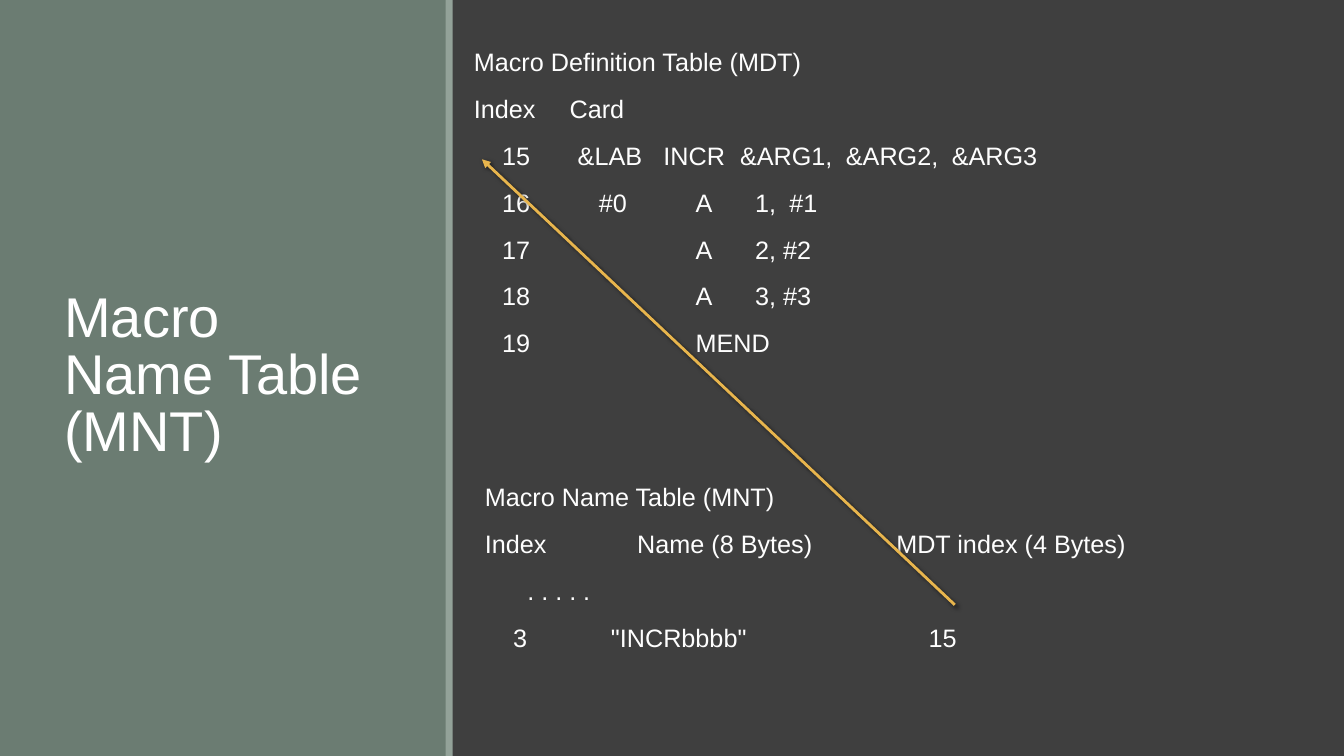
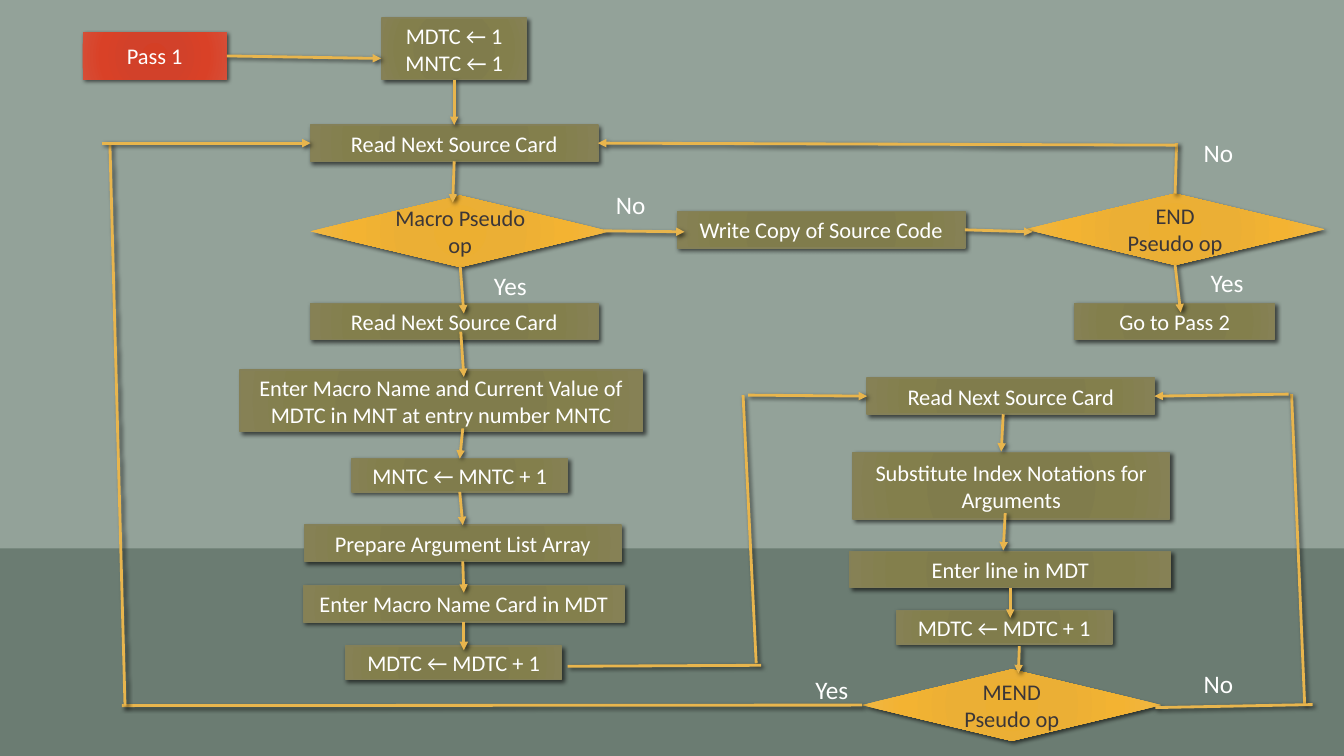
"""Two slides on macro tables and the first pass of a macro processor."""
import math

import lxml.etree
import pptx
import pptx.dml.color
import pptx.enum.shapes
import pptx.enum.text
import pptx.oxml.ns
import pptx.util

Inch = pptx.util.Inches
Pt = pptx.util.Pt
qn = pptx.oxml.ns.qn
Kind = pptx.enum.shapes.MSO_SHAPE
Line = pptx.enum.shapes.MSO_CONNECTOR
Mid = pptx.enum.text.MSO_ANCHOR.MIDDLE
Mode = pptx.enum.text.PP_ALIGN
tone = pptx.dml.color.RGBColor.from_string

WIDE, HIGH = 13.33, 7.5
DARK, PINE, SAGE = tone("3F3F3F"), tone("6B7C72"), tone("93A299")
WHITE, PALE, INK = tone("FFFFFF"), tone("FEFEFE"), tone("3B3638")
GOLD, EDGE = tone("E8B54D"), tone("848058")

STOPS = (0, 34, 70, 100)
RED = [tone(c) for c in ("D43F25", "D2412A", "D94127", "D64E37")]
OLIVE = [tone(c) for c in ("807A4A", "807C4C", "837F4C", "868155")]
AMBER = [tone(c) for c in ("ECAF31", "EBAF35", "F3B332", "EFB745")]

HEAD = {"name": "Arial", "size": Pt(40), "color": WHITE}
BODY = {"name": "Arial", "size": Pt(18), "color": PALE}
LABEL = {"name": "Calibri", "size": Pt(18), "color": WHITE}
STEP = {"name": "Calibri", "size": Pt(16), "color": WHITE}
TEST = {**STEP, "color": INK}

TITLE = "Macro Name Table (MNT)"
MDT = [
    [(0, "Macro Definition Table (MDT)")],
    [(0, "Index"), (0.95, "Card")],
    [(0.28, "15"), (1.03, "&LAB"), (1.88, "INCR"), (2.64, "&ARG1,"), (3.69, "&ARG2,"), (4.74, "&ARG3")],
    [(0.28, "16"), (1.24, "#0"), (2.2, "A"), (2.79, "1,"), (3.13, "#1")],
    [(0.28, "17"), (2.2, "A"), (2.79, "2, #2")],
    [(0.28, "18"), (2.2, "A"), (2.79, "3, #3")],
    [(0.28, "19"), (2.2, "MEND")],
]
MNT = [
    [(0, "Macro Name Table (MNT)")],
    [(0, "Index"), (1.51, "Name (8 Bytes)"), (4.08, "MDT index (4 Bytes)")],
    [(0.42, ". . . . .")],
    [(0.28, "3"), (1.25, '"INCRbbbb"'), (4.4, "15")],
]
TABLES = [(MNT, (4.81, 4.45, 8.22, 2.39)), (MDT, (4.7, 0.41, 8.22, 3.23))]

CARD, COUNT, LONG, OP = (2.85, 0.36), (2.14, 0.33), (3.18, 0.36), (2.97, 0.71)
STEPS = [
    ("MDTC ← 1\nMNTC ← 1", 3.79, 0.18, (1.43, 0.61)),
    ("Read Next Source Card", 3.08, 1.24, CARD),
    ("Read Next Source Card", 3.08, 3.01, CARD),
    ("Enter Macro Name and Current Value of MDTC in MNT at entry number MNTC", 2.38, 3.67, (3.99, 0.61)),
    ("MNTC ← MNTC + 1", 3.49, 4.55, COUNT),
    ("Prepare Argument List Array", 3.02, 5.21, (3.14, 0.36)),
    ("Enter Macro Name Card in MDT", 3.01, 5.81, LONG),
    ("MDTC ← MDTC + 1", 3.43, 6.41, COUNT),
    ("Read Next Source Card", 8.6, 3.75, CARD),
    ("Substitute Index Notations for Arguments", 8.46, 4.49, (3.14, 0.66)),
    ("Enter line in MDT", 8.43, 5.47, LONG),
    ("MDTC ← MDTC + 1", 8.89, 6.06, COUNT),
    ("Write Copy of Source Code", 6.72, 2.1, CARD),
    ("Go to Pass 2", 10.66, 3.01, (1.98, 0.36)),
]
START = [("Pass 1", 0.82, 0.32, (1.43, 0.47))]
TESTS = [
    ("Macro Pseudo op", 3.08, 1.94, OP),
    ("MEND\nPseudo op", 8.55, 6.64, OP),
    ("END\nPseudo op", 10.17, 1.92, OP),
]
GROUPS = [
    (START, Kind.RECTANGLE, RED, None, STEP),
    (STEPS, Kind.RECTANGLE, OLIVE, EDGE, STEP),
    (TESTS, Kind.FLOWCHART_DECISION, AMBER, None, TEST),
]
LINES = [
    (1.21, 7, 8.55, 7), (1.24, 7, 1.09, 1.42), (7.5, 6.58, 7.37, 3.92),
    (5.63, 6.61, 7.55, 6.6), (12.94, 6.99, 12.81, 3.91),
    (11.46, 7.02, 13.02, 6.99), (11.65, 1.88, 11.67, 1.42),
]
ARROWS = [
    (1.01, 1.42, 3.07, 1.43), (7.42, 3.92, 8.55, 3.9), (12.78, 3.91, 11.47, 3.92),
    (9.95, 4.11, 9.93, 4.48), (9.97, 5.09, 9.95, 5.46), (10.01, 5.81, 10.02, 6.13),
    (10.11, 6.41, 10.1, 6.68), (4.46, 0.79, 4.49, 1.23), (4.46, 1.6, 4.49, 2.01),
    (4.56, 2.65, 4.6, 3.11), (4.57, 3.29, 4.6, 3.74), (4.59, 4.25, 4.6, 4.53),
    (4.59, 4.9, 4.6, 5.21), (4.59, 5.57, 4.6, 5.88), (4.59, 6.14, 4.6, 6.45),
    (5.99, 2.29, 6.79, 2.3), (9.57, 2.29, 10.24, 2.3), (11.68, 2.68, 11.71, 3.1),
    (2.25, 0.57, 3.78, 0.58), (11.67, 1.44, 5.94, 1.42),
]
LABELS = {
    "Yes": [(4.8, 2.63), (7.99, 6.64), (11.91, 2.6)],
    "No": [(6.01, 1.83), (11.84, 1.31), (11.84, 6.58)],
}
NEAR = 0.06


def sub(top, tag, **vals):
    """Add one drawing element."""
    return lxml.etree.SubElement(top, qn("a:" + tag), {k: str(v) for k, v in vals.items()})


def shade(item):
    """Give a shape or connector its soft shadow."""
    part = item.element.spPr
    for old in part.findall(qn("a:effectLst")):
        part.remove(old)
    cast = sub(sub(part, "effectLst"), "outerShdw", blurRad=Pt(3), dist=Pt(2),
               dir=45 * 60000, algn="ctr", rotWithShape=0)
    sub(sub(cast, "srgbClr", val="000000"), "alpha", val=60000)


def blend(shape, tones):
    """Fill a shape with a round gradient."""
    shape.fill.solid()
    part = shape.element.spPr
    flat = part.find(qn("a:solidFill"))
    grad = lxml.etree.Element(qn("a:gradFill"), rotWithShape="1")
    stops = sub(grad, "gsLst")
    for at, color in zip(STOPS, tones):
        sub(sub(stops, "gs", pos=at * 1000), "srgbClr", val=color)
    way = sub(grad, "path", path="circle")
    sub(way, "fillToRect", l=50000, t=50000, r=50000, b=50000)
    part.replace(flat, grad)


def write(par, text, style):
    """Add a styled run to a paragraph."""
    run = par.add_run()
    run.text = text
    for key, val in style.items():
        if key == "color":
            run.font.color.rgb = val
        else:
            setattr(run.font, key, val)


def pars(frame, count):
    """Return the given number of paragraphs of a text frame."""
    return [frame.paragraphs[0]] + [frame.add_paragraph() for _ in range(count - 1)]


def box(slide, at, **form):
    """Add a wrapping text box and return its frame."""
    frame = slide.shapes.add_textbox(*map(Inch, at)).text_frame
    for key, val in {"word_wrap": True, **form}.items():
        setattr(frame, key, val)
    return frame


def band(slide, at, color):
    """Add a plain colour band."""
    shape = slide.shapes.add_shape(Kind.RECTANGLE, *map(Inch, at))
    shape.shadow.inherit = False
    shape.fill.solid()
    shape.fill.fore_color.rgb = color
    shape.line.fill.background()


def grid(slide, rows, at):
    """Write rows of cells set on tab stops."""
    frame = box(slide, at, vertical_anchor=Mid, margin_left=0, margin_right=0)
    for num, (par, row) in enumerate(zip(pars(frame, len(rows)), rows)):
        par.line_spacing = 0.9
        if num:
            par.space_before = Pt(14)
        tabs = [pos for pos, _ in row if pos]
        if tabs:
            stops = sub(par._p.get_or_add_pPr(), "tabLst")
            for pos in tabs:
                sub(stops, "tab", pos=Inch(pos), algn="l")
        write(par, "".join("\t" * bool(pos) + text for pos, text in row), BODY)


def block(slide, kind, data, tones, edge, style):
    """Add one flowchart block."""
    text, left, top, size = data
    shape = slide.shapes.add_shape(kind, *map(Inch, (left, top, *size)))
    blend(shape, tones)
    if edge:
        shape.line.color.rgb = edge
        shape.line.width = Pt(1)
    else:
        shape.line.fill.background()
    shade(shape)
    frame = shape.text_frame
    for key, val in {"word_wrap": True, "vertical_anchor": Mid}.items():
        setattr(frame, key, val)
    rows = text.split("\n")
    for par, row in zip(pars(frame, len(rows)), rows):
        par.alignment = Mode.CENTER
        write(par, row, style)
    return shape


def sides(shape):
    """Return the middles of the top, left, bottom and right sides."""
    x, y, w, h = shape.left, shape.top, shape.width, shape.height
    return [(x + w / 2, y), (x, y + h / 2), (x + w / 2, y + h), (x + w, y + h / 2)]


def link(slide, ends, nodes=(), head=True):
    """Draw a line and join its ends to nearby blocks."""
    pts = [Inch(v) for v in ends]
    wire = slide.shapes.add_connector(Line.STRAIGHT, *pts)
    for join, end in ((wire.begin_connect, pts[:2]), (wire.end_connect, pts[2:])):
        for node in nodes:
            for side, spot in enumerate(sides(node)):
                if math.dist(spot, end) < Inch(NEAR):
                    join(node, side)
    wire.line.color.rgb = GOLD
    wire.line.width = Pt(2)
    if head:
        sub(wire.line._get_or_add_ln(), "tailEnd", type="triangle")
    shade(wire)


def tables(slide):
    """Build the slide with both macro tables."""
    band(slide, (0, 0, 4.43, HIGH), PINE)
    band(slide, (4.42, 0, 0.07, HIGH), SAGE)
    par = box(slide, (0.54, 0.66, 3.37, 6.17), vertical_anchor=Mid).paragraphs[0]
    par.line_spacing = 0.85
    write(par, TITLE, HEAD)
    for rows, at in TABLES:
        grid(slide, rows, at)
    link(slide, (9.47, 6, 4.78, 1.58))


def flow(slide):
    """Build the flowchart slide."""
    band(slide, (0, 5.44, WIDE, HIGH - 5.44), PINE)
    nodes = [block(slide, kind, data, *look)
             for group, kind, *look in GROUPS for data in group]
    for head, wires in ((False, LINES), (True, ARROWS)):
        for ends in wires:
            link(slide, ends, nodes, head)
    for text, spots in LABELS.items():
        for spot in spots:
            write(box(slide, (*spot, 0.66, 0.4)).paragraphs[0], text, LABEL)


def main():
    """Build and save the deck."""
    deck = pptx.Presentation()
    deck.slide_width, deck.slide_height = Inch(WIDE), Inch(HIGH)
    for build, back in ((tables, DARK), (flow, SAGE)):
        slide = deck.slides.add_slide(deck.slide_layouts[6])
        slide.background.fill.solid()
        slide.background.fill.fore_color.rgb = back
        build(slide)
    deck.save("out.pptx")


if __name__ == "__main__":
    main()
